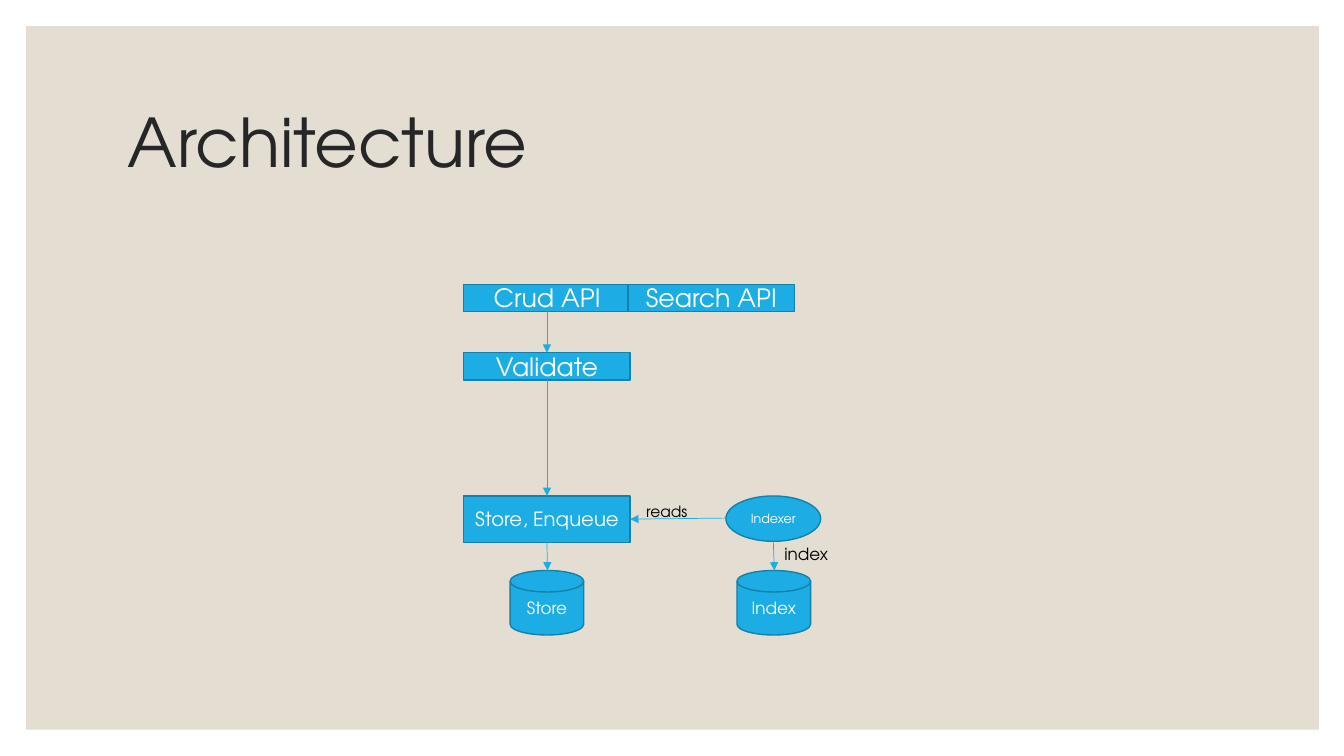
from pptx import Presentation
from pptx.dml.color import RGBColor
from pptx.enum.shapes import MSO_CONNECTOR as CONN, MSO_SHAPE as SHAPE
from pptx.enum.text import MSO_ANCHOR as ANCHOR, PP_ALIGN as ALIGN
from pptx.oxml.ns import qn
from pptx.util import Inches, Pt
from lxml.etree import SubElement

TOP, LEFT, BOTTOM, RIGHT = range(4)


def rgb(value):
    return RGBColor.from_string(value)


class Deck:
    font = "TeX Gyre Adventor"
    accent, edge, panel = "1CADE4", "1580A9", "E3DED1"

    def __init__(self):
        self.prs = Presentation()
        self.prs.slide_width, self.prs.slide_height = Inches(13.33), Inches(7.5)
        self.s = self.prs.slides.add_slide(self.prs.slide_layouts[6])

    def label(self, sp, text, size, color, align=ALIGN.LEFT, **frame):
        tf = sp.text_frame
        for name, value in frame.items():
            setattr(tf, name, value)
        p = tf.paragraphs[0]
        p.alignment = align
        r = p.add_run()
        r.text = text
        for name, value in {"name": self.font, "size": Pt(size)}.items():
            setattr(r.font, name, value)
        r.font.color.rgb = rgb(color)
        return p

    def shape(self, kind, box, fill, line=None):
        sp = self.s.shapes.add_shape(kind, *map(Inches, box))
        sp.shadow.inherit = False
        sp.fill.solid()
        sp.fill.fore_color.rgb = rgb(fill)
        if line:
            sp.line.color.rgb = rgb(line)
            sp.line.width = Pt(1)
        else:
            sp.line.fill.background()
        return sp

    def node(self, text, size, box, kind=SHAPE.RECTANGLE):
        sp = self.shape(kind, box, self.accent, self.edge)
        self.label(sp, text, size, "FFFFFF", ALIGN.CENTER, word_wrap=True,
                   vertical_anchor=ANCHOR.MIDDLE,
                   margin_left=Inches(0.05), margin_right=Inches(0.05))
        return sp

    def text(self, text, size, box, color="000000", wrap=True, anchor=ANCHOR.TOP):
        sp = self.s.shapes.add_textbox(*map(Inches, box))
        return self.label(sp, text, size, color, word_wrap=wrap, vertical_anchor=anchor)

    def arrow(self, start, end, source=None, target=None):
        c = self.s.shapes.add_connector(CONN.STRAIGHT, *map(Inches, start + end))
        if source:
            c.begin_connect(*source)
        if target:
            c.end_connect(*target)
        c.line.color.rgb = rgb(self.accent)
        c.line.width = Pt(0.5)
        props = c._element.spPr
        SubElement(props.get_or_add_ln(), qn("a:tailEnd"), type="triangle")
        SubElement(props, qn("a:effectLst"))


def main():
    deck = Deck()
    deck.shape(SHAPE.RECTANGLE, (0.26, 0.26, 12.82, 6.98), deck.panel)
    title = deck.text("Architecture", 48, (1.17, 0.7, 11, 1.5), "262626",
                      anchor=ANCHOR.MIDDLE)
    title.line_spacing = 0.9

    left, width, height = 4.6, 1.65, 0.27
    crud = deck.node("Crud API", 18, (left, 2.82, width, height))
    deck.node("Search API", 18, (6.23, 2.82, width, height))
    validate = deck.node("Validate", 18, (left, 3.5, width, height))
    enqueue = deck.node("Store, Enqueue", 14, (left, 4.92, width, 0.46))
    for name, x in (("Store", 5.06), ("Index", 7.31)):
        deck.node(name, 12, (x, 5.66, 0.73, 0.64), SHAPE.FLOWCHART_MAGNETIC_DISK)
    deck.node("Indexer", 9, (7.2, 4.92, 0.94, 0.45), SHAPE.OVAL)

    axis = 5.43
    deck.arrow((axis, 3.09), (axis, 3.5), (crud, BOTTOM), (validate, TOP))
    deck.arrow((axis, 3.77), (axis, 4.92), (validate, BOTTOM), (enqueue, TOP))
    deck.arrow((axis, 5.38), (axis, 5.66), source=(enqueue, BOTTOM))
    deck.arrow((7.2, 5.14), (6.25, 5.15), target=(enqueue, RIGHT))
    deck.arrow((7.67, 5.37), (7.68, 5.66))

    deck.text("reads", 11, (6.31, 4.93, 0.62, 0.29), wrap=False)
    deck.text("index", 12, (7.68, 5.35, 0.99, 0.3))
    deck.prs.save("out.pptx")


if __name__ == "__main__":
    main()
